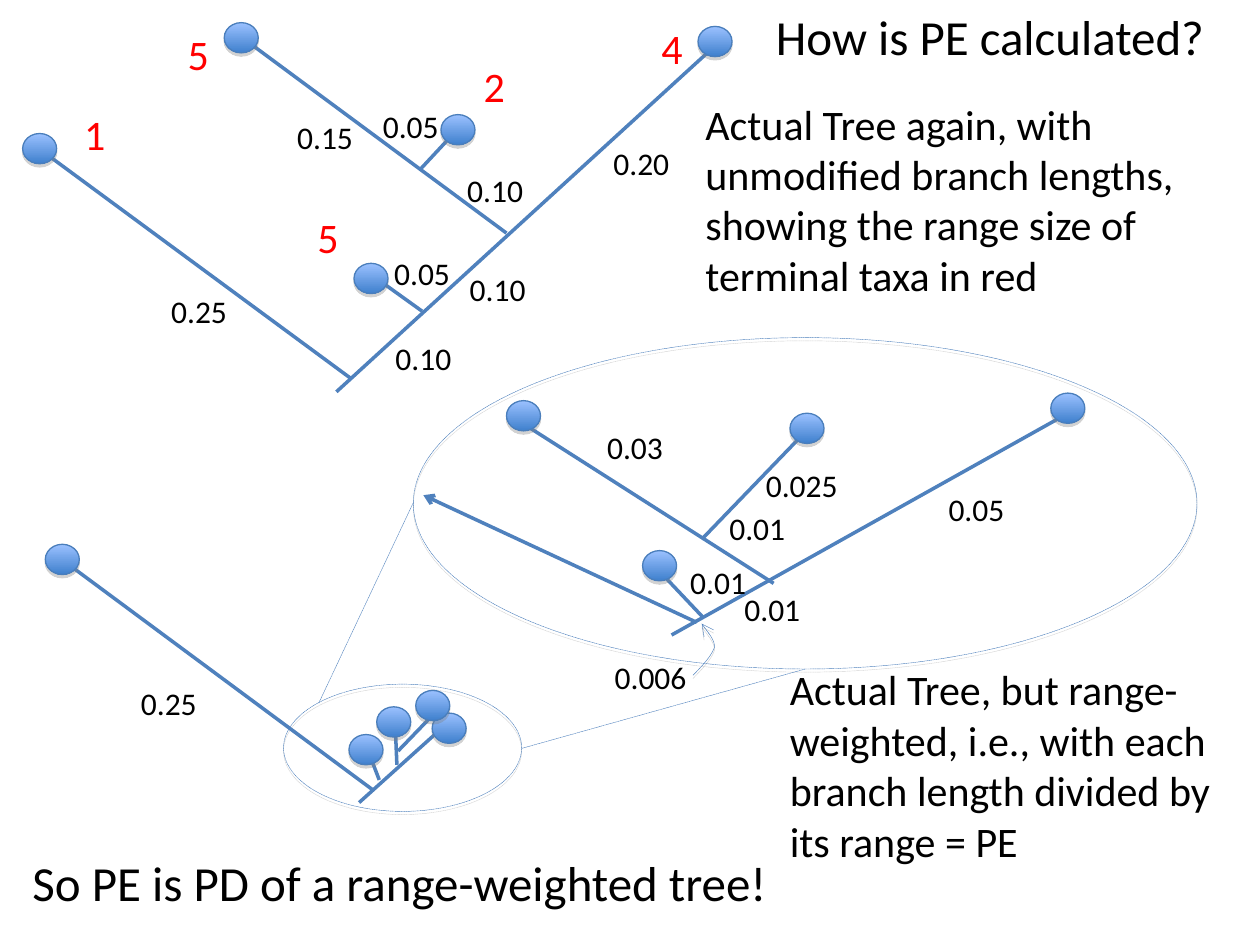
from lxml import etree
from pptx import Presentation
from pptx.dml.color import RGBColor
from pptx.enum.dml import MSO_LINE
from pptx.enum.shapes import MSO_CONNECTOR, MSO_SHAPE
from pptx.enum.text import MSO_ANCHOR, MSO_AUTO_SIZE
from pptx.oxml.ns import qn
from pptx.util import Pt

STRAIGHT = MSO_CONNECTOR.STRAIGHT
OVAL = MSO_SHAPE.OVAL
DASH = MSO_LINE.SQUARE_DOT
PX = 9144
THEME = {
    "font": "Calibri",
    "ink": RGBColor.from_string("000000"),
    "range": RGBColor.from_string("FF0000"),
    "branch": RGBColor.from_string("4F81BD"),
    "rim": RGBColor.from_string("4A7EBB"),
    "taxon": (RGBColor.from_string("9BC1FF"), RGBColor.from_string("3F80CD")),
    "shadow": "808080",
    "label_size": Pt(18),
    "body_size": Pt(24),
    "title_size": Pt(28),
    "branch_width": Pt(2),
    "rim_width": Pt(0.75),
    "thin_width": Pt(0.25),
}


def cast_shadow(shape):
    shape.shadow.inherit = False
    effects = shape._element.spPr.find(qn("a:effectLst"))
    outer = etree.SubElement(effects, qn("a:outerShdw"), blurRad="0", dist="22860",
                             dir="5400000", rotWithShape="0")
    tint = etree.SubElement(outer, qn("a:srgbClr"), val=THEME["shadow"])
    etree.SubElement(tint, qn("a:alpha"), val="35000")


def style_line(line, color, width, dash=None, arrow=False):
    line.color.rgb = THEME[color]
    line.width = THEME[width]
    if dash:
        line.dash_style = dash
    if arrow:
        etree.SubElement(line._get_or_add_ln(), qn("a:tailEnd"), type="arrow")


deck = Presentation()
deck.slide_width, deck.slide_height = 1000 * PX, 750 * PX
slide = deck.slides.add_slide(deck.slide_layouts[6])
shapes = slide.shapes

for frame in [(225, 543, 189, 101), (328, 268, 622, 263)]:
    lens = shapes.add_shape(OVAL, *[v * PX for v in frame])
    lens.fill.background()
    style_line(lens.line, "rim", "thin_width", DASH)
    cast_shadow(lens)

full_tree = [
    (31, 118, 278, 300), (303, 224, 335, 247), (191, 29, 402, 185),
    (569, 35, 267, 311), (360, 106, 333, 135),
]
enlarged_tree = [
    (524, 454, 558, 490), (407, 331, 614, 463), (844, 330, 533, 504),
    (638, 344, 557, 428),
]
weighted_tree = [
    (49, 444, 296, 627), (296, 606, 301, 619), (314, 583, 315, 607),
    (345, 583, 285, 637), (344, 567, 316, 596),
]
long_branch = [(553, 494, 336, 393)]
zoom_lines = [(253, 558, 328, 399), (639, 531, 414, 594)]

for branches, width, dash, arrow in [
    (full_tree + enlarged_tree + weighted_tree, "branch_width", None, False),
    (long_branch, "branch_width", None, True),
    (zoom_lines, "thin_width", DASH, False),
]:
    for ends in branches:
        branch = shapes.add_connector(STRAIGHT, *[v * PX for v in ends])
        style_line(branch.line, "branch", width, dash, arrow)
        etree.SubElement(branch._element.spPr, qn("a:effectLst"))

pointer_curves = [
    [(550, 536), (558, 528), (565, 520), (567, 514)],
    [(567, 514), (568, 507), (559, 499), (557, 495)],
]
STEPS = 10
pointer_points = []
for curve in pointer_curves:
    for step in range(1, STEPS + 1):
        t = step / STEPS
        weights = ((1 - t) ** 3, 3 * t * (1 - t) ** 2, 3 * t * t * (1 - t), t ** 3)
        pointer_points.append(tuple(
            sum(w * p[axis] for w, p in zip(weights, curve)) * PX for axis in (0, 1)))
start_x, start_y = pointer_curves[0][0]
outline = shapes.build_freeform(start_x * PX, start_y * PX)
outline.add_line_segments(pointer_points, close=False)
pointer = outline.convert_to_shape()
pointer.fill.background()
style_line(pointer.line, "branch", "thin_width", arrow=True)
cast_shadow(pointer)

taxa = [
    (18, 106), (554, 21), (178, 18), (281, 209), (350, 91),
    (627, 328), (834, 312), (510, 437), (402, 318),
    (36, 432), (343, 566), (299, 561), (277, 583), (330, 548),
]
for left, top in taxa:
    taxon = shapes.add_shape(OVAL, left * PX, top * PX, 27 * PX, 24 * PX)
    taxon.fill.gradient()
    taxon.fill.gradient_angle = 270
    for stop, color in zip(taxon.fill.gradient_stops, THEME["taxon"]):
        stop.color.rgb = color
    style_line(taxon.line, "rim", "rim_width")
    cast_shadow(taxon)

branch_lengths = [
    ("0.10", 304, 264), ("0.10", 363, 209), ("0.25", 126, 227), ("0.15", 226, 89),
    ("0.10", 361, 131), ("0.20", 477, 109), ("0.05", 294, 80), ("0.05", 303, 197),
    ("0.01", 581, 463), ("0.03", 472, 335), ("0.01", 569, 399), ("0.05", 743, 384),
    ("0.01", 538, 442), ("0.25", 102, 538),
]
fine_lengths = [("0.006", 478, 517), ("0.025", 598, 365)]
range_sizes = [("1", 57, 81), ("4", 515, 13), ("2", 374, 43), ("5", 139, 18), ("5", 242, 163)]
tree_note = [("Actual Tree again, with unmodified branch lengths, showing the range size "
              "of terminal taxa in red", 550, 73)]
weighted_note = [("Actual Tree, but range-weighted, i.e., with each branch length divided "
                  "by its range = PE", 617, 522)]
question = [("How is PE calculated?", 606, 0)]
conclusion = [("So PE is PD of a range-weighted tree!", 16, 672)]

for entries, width, height, size, color, wrap in [
    (branch_lengths, 64, 40, "label_size", "ink", False),
    (fine_lengths, 77, 40, "label_size", "ink", False),
    (range_sizes, 37, 50, "body_size", "range", False),
    (tree_note, 409, 170, "body_size", "ink", True),
    (weighted_note, 383, 170, "body_size", "ink", True),
    (question, 361, 57, "title_size", "ink", False),
    (conclusion, 614, 57, "title_size", "ink", False),
]:
    frame_format = {
        "word_wrap": wrap, "auto_size": MSO_AUTO_SIZE.SHAPE_TO_FIT_TEXT,
        "vertical_anchor": MSO_ANCHOR.TOP,
        "margin_left": 10 * PX, "margin_right": 10 * PX,
        "margin_top": 5 * PX, "margin_bottom": 5 * PX,
    }
    for wording, left, top in entries:
        frame = shapes.add_textbox(left * PX, top * PX, width * PX, height * PX).text_frame
        for name, value in frame_format.items():
            setattr(frame, name, value)
        run = frame.paragraphs[0].add_run()
        run.text = wording
        for name, value in {"name": THEME["font"], "size": THEME[size]}.items():
            setattr(run.font, name, value)
        run.font.color.rgb = THEME[color]

deck.save("out.pptx")
